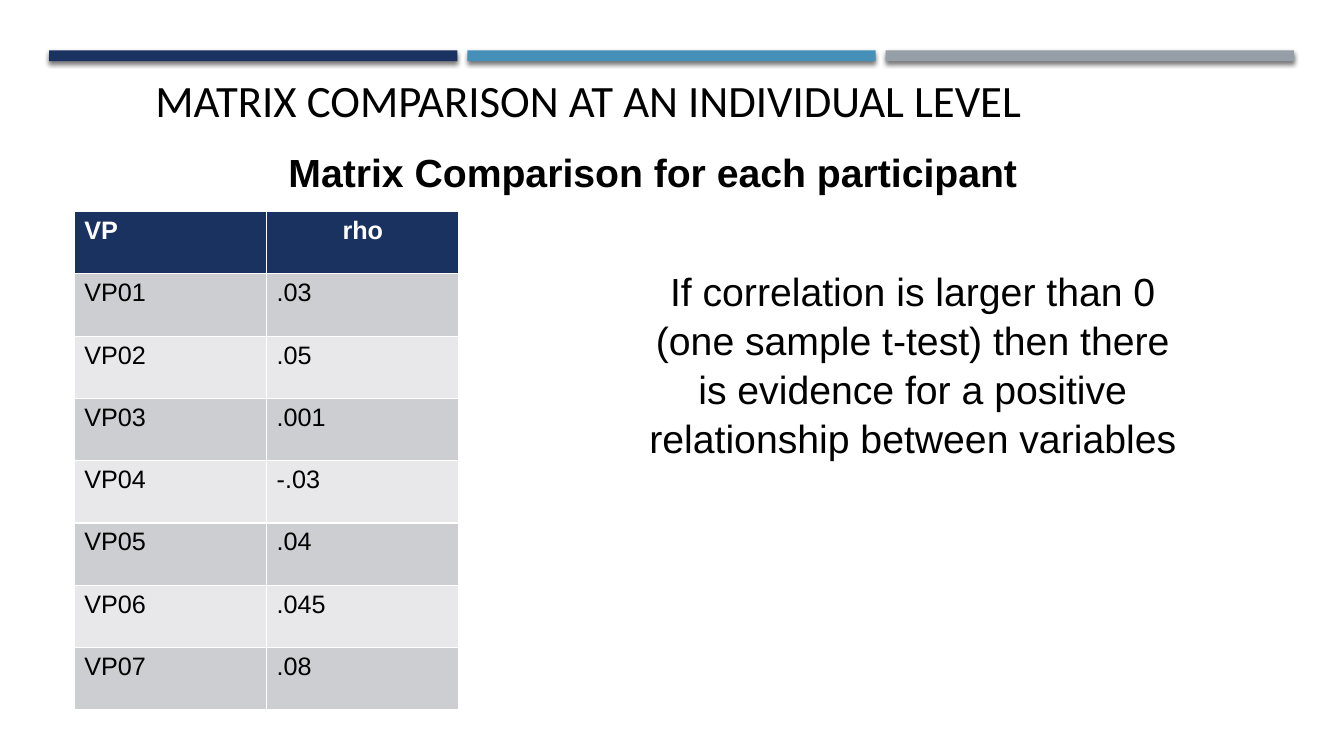
from lxml import etree
from pptx import Presentation
from pptx.dml.color import RGBColor
from pptx.enum.shapes import MSO_SHAPE
from pptx.enum.text import MSO_ANCHOR, PP_ALIGN
from pptx.oxml.ns import qn
from pptx.util import Cm, Pt

TITLE = "MATRIX COMPARISON AT AN INDIVIDUAL LEVEL"
SUBTITLE = "Matrix Comparison for each participant"
NOTE = ("If correlation is larger than 0 (one sample t-test) then there "
        "is evidence for a positive relationship between variables")
ROWS = [("VP", "rho"), ("VP01", ".03"), ("VP02", ".05"), ("VP03", ".001"),
        ("VP04", "-.03"), ("VP05", ".04"), ("VP06", ".045"), ("VP07", ".08")]
COLORS = {"navy": "1A3260", "blue": "4590B8", "gray": "969FA7",
          "odd": "CDCED2", "even": "E8E8EA", "white": "FFFFFF", "black": "000000"}
BARS = ["navy", "blue", "gray"]


def rgb(name):
    return RGBColor.from_string(COLORS[name])


def add_text(tf, text, size, font="Arial", color="black", bold=False, align=PP_ALIGN.LEFT):
    p = tf.paragraphs[0]
    p.alignment = align
    r = p.add_run()
    r.text = text
    r.font.name, r.font.size, r.font.bold = font, Pt(size), bold
    r.font.color.rgb = rgb(color)
    return p


def add_box(s, left, top, width, height, fill):
    sp = s.shapes.add_shape(MSO_SHAPE.RECTANGLE, Cm(left), Cm(top), Cm(width), Cm(height))
    sp.shadow.inherit = False
    sp.fill.solid()
    sp.fill.fore_color.rgb = rgb(fill)
    sp.line.fill.background()
    return sp


def add_shadow(sp):
    effects = sp._element.spPr.find(qn("a:effectLst"))
    shadow = etree.SubElement(effects, qn("a:outerShdw"), blurRad=str(Pt(3)),
                              dist=str(Pt(2)), dir="5400000", rotWithShape="0")
    color = etree.SubElement(shadow, qn("a:srgbClr"), val=COLORS["black"])
    etree.SubElement(color, qn("a:alpha"), val="55000")


def add_text_box(s, left, top, width, height, text, bold=False):
    sp = add_box(s, left, top, width, height, "white")
    sp.line.color.rgb = rgb("white")
    sp.line.width = Pt(2)
    tf = sp.text_frame
    tf.word_wrap = True
    tf.vertical_anchor = MSO_ANCHOR.MIDDLE
    return add_text(tf, text, 28, bold=bold, align=PP_ALIGN.CENTER)


def main():
    prs = Presentation()
    prs.slide_width, prs.slide_height = Cm(33.87), Cm(19.05)
    s = prs.slides.add_slide(prs.slide_layouts[5])

    # Three bars across the top
    bar_width, bar_gap = 10.29, 0.25
    for i, fill in enumerate(BARS):
        add_shadow(add_box(s, 1.24 + i * (bar_width + bar_gap), 1.27, bar_width, 0.27, fill))

    # Title
    title = s.shapes.title
    title.left, title.top, title.width, title.height = Cm(3.66), Cm(1.75), Cm(25.58), Cm(1.57)
    title.text_frame.word_wrap = True
    title.text_frame.vertical_anchor = MSO_ANCHOR.BOTTOM
    add_text(title.text_frame, TITLE, 32, font="Calibri")

    # Subtitle
    add_text_box(s, 6.2, 3.33, 20.5, 2, SUBTITLE, bold=True)

    # Table of correlations
    col_width, row_height = 4.85, 1.57
    table = s.shapes.add_table(len(ROWS), 2, Cm(1.87), Cm(5.33), Cm(2 * col_width),
                               Cm(len(ROWS) * row_height)).table
    for i, row in enumerate(ROWS):
        head = i == 0
        fill = "navy" if head else ("odd" if i % 2 else "even")
        for j, text in enumerate(row):
            cell = table.cell(i, j)
            cell.fill.solid()
            cell.fill.fore_color.rgb = rgb(fill)
            add_text(cell.text_frame, text, 18, color="white" if head else "black", bold=head,
                     align=PP_ALIGN.CENTER if head and j else PP_ALIGN.LEFT)

    # Note on the right
    note = add_text_box(s, 16.03, 6.17, 13.94, 5.97, NOTE)
    note.line_spacing = 1.04

    prs.save("out.pptx")


if __name__ == "__main__":
    main()
